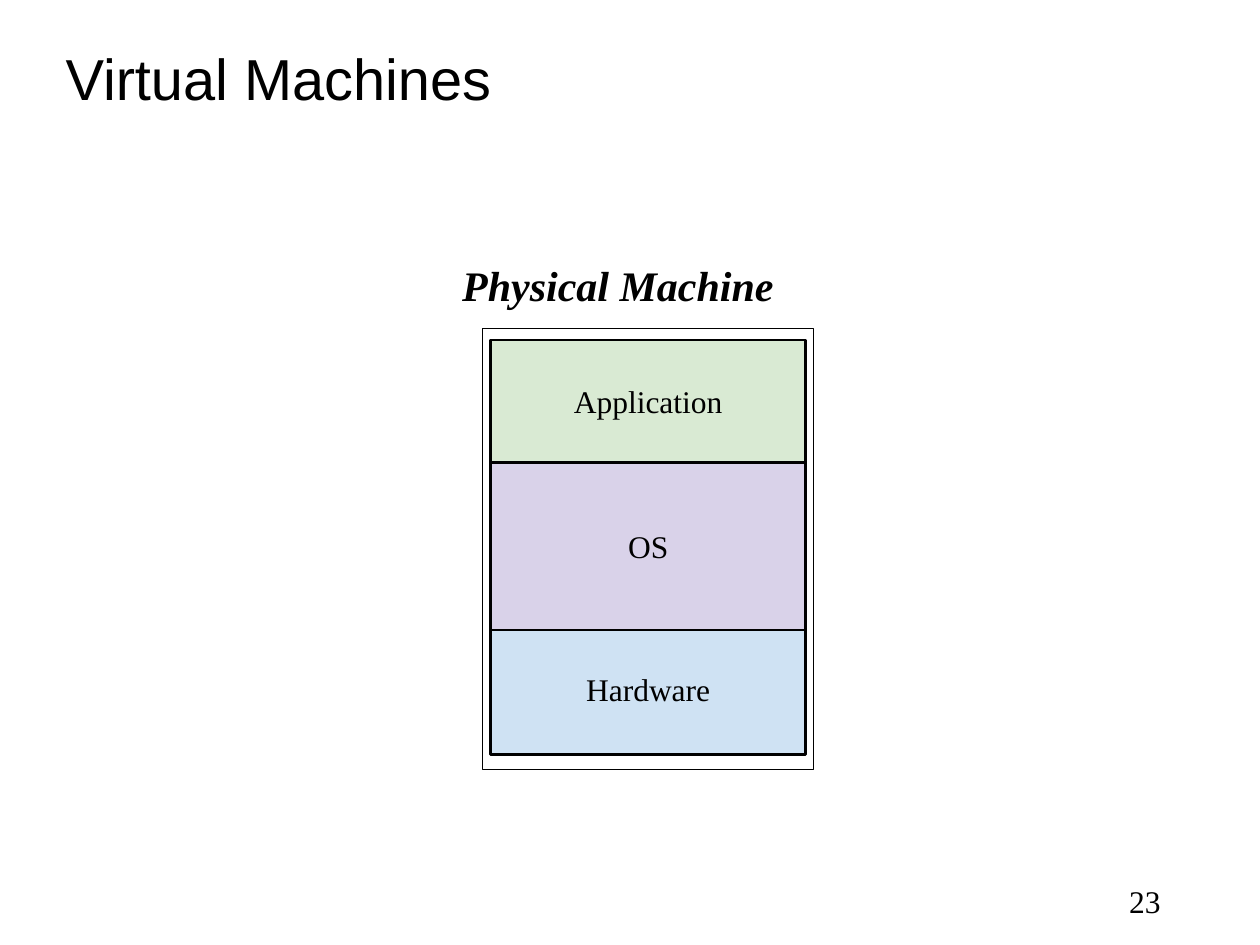
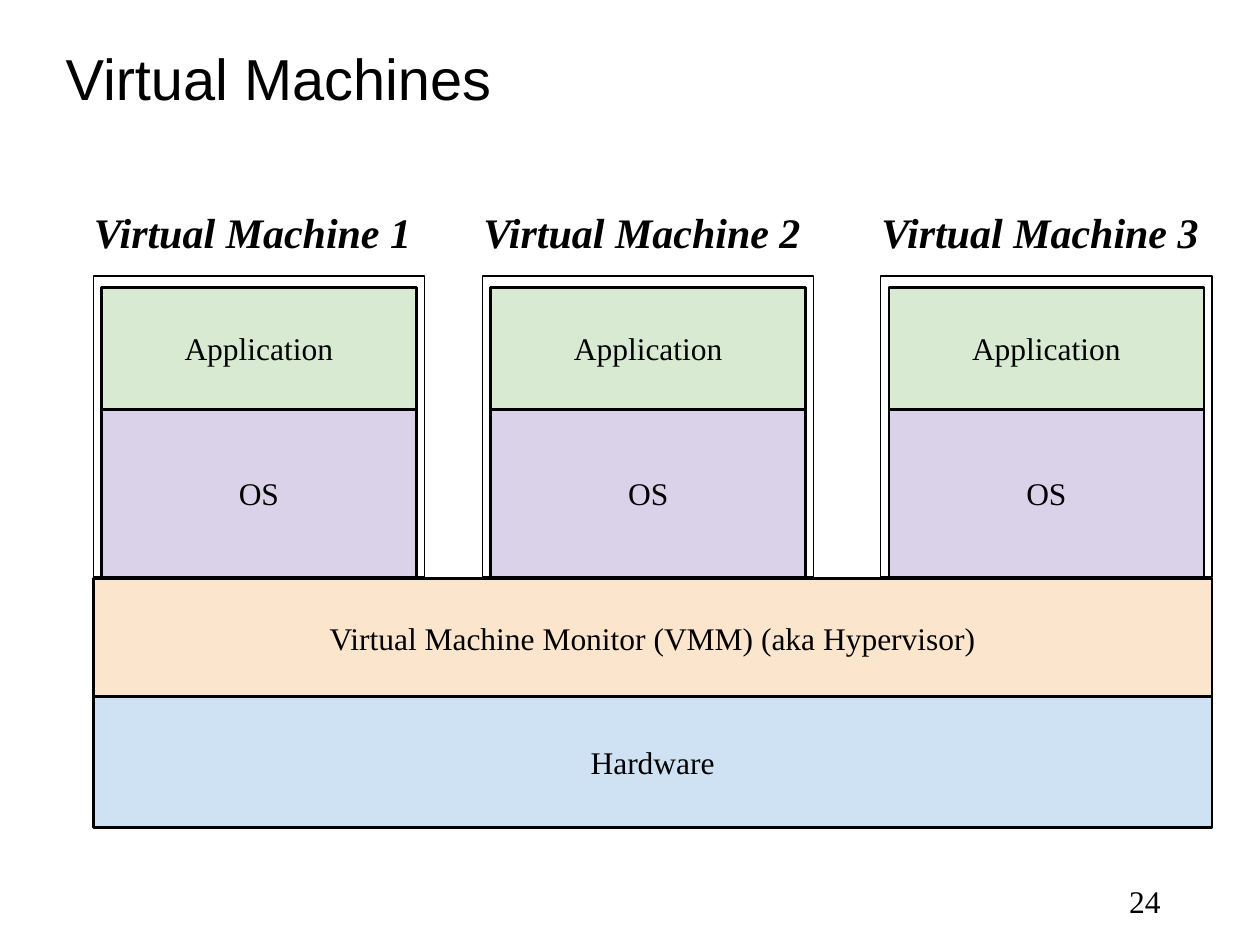
import pptx
import pptx.util
import pptx.dml.color
import pptx.enum.shapes
import pptx.enum.text

Inches = pptx.util.Inches
Pt = pptx.util.Pt
ALIGN = pptx.enum.text.PP_ALIGN
ANCHOR = pptx.enum.text.MSO_ANCHOR

COLORS = {
    "ink": "000000",
    "application": "D9EAD3",
    "os": "D9D2E9",
    "monitor": "FCE5CD",
    "hardware": "CFE2F3",
}
SERIF = "Times New Roman"
FRAME_W = 2.63
LAYER_W = 2.5
LAYERS = {
    "Application": ("application", 0.09, 0.97),
    "OS": ("os", 1.05, 1.34),
    "Hardware": ("hardware", 2.34, 1.04),
}


def rgb(name):
    """Return the named colour."""
    return pptx.dml.color.RGBColor.from_string(COLORS[name])


def write(sp, text, size=18, font=SERIF, align=ALIGN.CENTER,
          anchor=ANCHOR.MIDDLE, pad=0.1, strong=False):
    """Write one formatted run into a shape and return its paragraph."""
    tf = sp.text_frame
    tf.word_wrap = True
    tf.auto_size = pptx.enum.text.MSO_AUTO_SIZE.NONE
    tf.vertical_anchor = anchor
    tf.margin_left = tf.margin_right = Inches(0.1)
    tf.margin_top = tf.margin_bottom = Inches(pad)
    p = tf.paragraphs[0]
    p.alignment = align
    r = p.add_run()
    r.text = text
    r.font.name = font
    r.font.size = Pt(size)
    r.font.bold = r.font.italic = strong
    r.font.color.rgb = rgb("ink")
    return p


def add_box(s, x, y, w, h, fill=None, text=None):
    """Add a labelled layer, or a thin empty frame when there is no fill."""
    sp = s.shapes.add_shape(pptx.enum.shapes.MSO_SHAPE.RECTANGLE,
                            Inches(x), Inches(y), Inches(w), Inches(h))
    sp.shadow.inherit = False
    sp.line.color.rgb = rgb("ink")
    sp.line.width = Pt(1.5 if fill else 0.75)
    if fill:
        sp.fill.solid()
        sp.fill.fore_color.rgb = rgb(fill)
    else:
        sp.fill.background()
    if text:
        write(sp, text)


def add_text(s, x, y, w, h, text, **style):
    """Add a text box."""
    sp = s.shapes.add_textbox(Inches(x), Inches(y), Inches(w), Inches(h))
    write(sp, text, anchor=ANCHOR.TOP, **style)


def add_slide(prs, title, number):
    """Add a slide with its title and page number."""
    s = prs.slides.add_slide(prs.slide_layouts[5])
    sp = s.shapes.title
    sp.left, sp.top = Inches(0.42), Inches(0.3)
    sp.width, sp.height = Inches(9), Inches(0.7)
    p = write(sp, title, size=33, font="Arial", align=ALIGN.LEFT, pad=0.05)
    p.line_spacing = 0.9
    add_text(s, 7.06, 6.95, 2.25, 0.4, str(number),
             align=ALIGN.RIGHT, pad=0.05)
    return s


def add_machine(s, x, y, h, name, layers, align=ALIGN.CENTER):
    """Stack a machine's layers in a frame, with its name above."""
    for layer in reversed(layers):
        fill, offset, layer_h = LAYERS[layer]
        add_box(s, x + (FRAME_W - LAYER_W) / 2, y + offset,
                LAYER_W, layer_h, fill, layer)
    add_box(s, x, y, FRAME_W, h)
    add_text(s, x - 0.26, y - 0.65, 3.05, 0.35, name,
             size=24, align=align, strong=True)


def add_host(s, x, y, w):
    """Add the monitor and hardware bands shared by the virtual machines."""
    monitor_h = 0.94
    add_box(s, x, y + monitor_h, w, 1.04, "hardware", "Hardware")
    add_box(s, x, y, w, monitor_h, "monitor",
            "Virtual Machine Monitor (VMM) (aka Hypervisor)")


def physical_slide(prs):
    """Build the slide with a single physical machine."""
    s = add_slide(prs, "Virtual Machines", 23)
    add_machine(s, 3.83, 2.61, 3.5, "Physical Machine", list(LAYERS),
                align=ALIGN.LEFT)


def virtual_slide(prs):
    """Build the slide with three virtual machines on one host."""
    s = add_slide(prs, "Virtual Machines", 24)
    add_host(s, 0.74, 4.59, 8.88)
    for i, x in enumerate((0.74, 3.83, 6.99), start=1):
        add_machine(s, x, 2.19, 2.39, f"Virtual Machine {i}",
                    ["Application", "OS"])


def main():
    """Build and save the presentation."""
    prs = pptx.Presentation()
    prs.slide_width, prs.slide_height = Inches(10), Inches(7.5)
    physical_slide(prs)
    virtual_slide(prs)
    prs.save("out.pptx")


if __name__ == "__main__":
    main()
